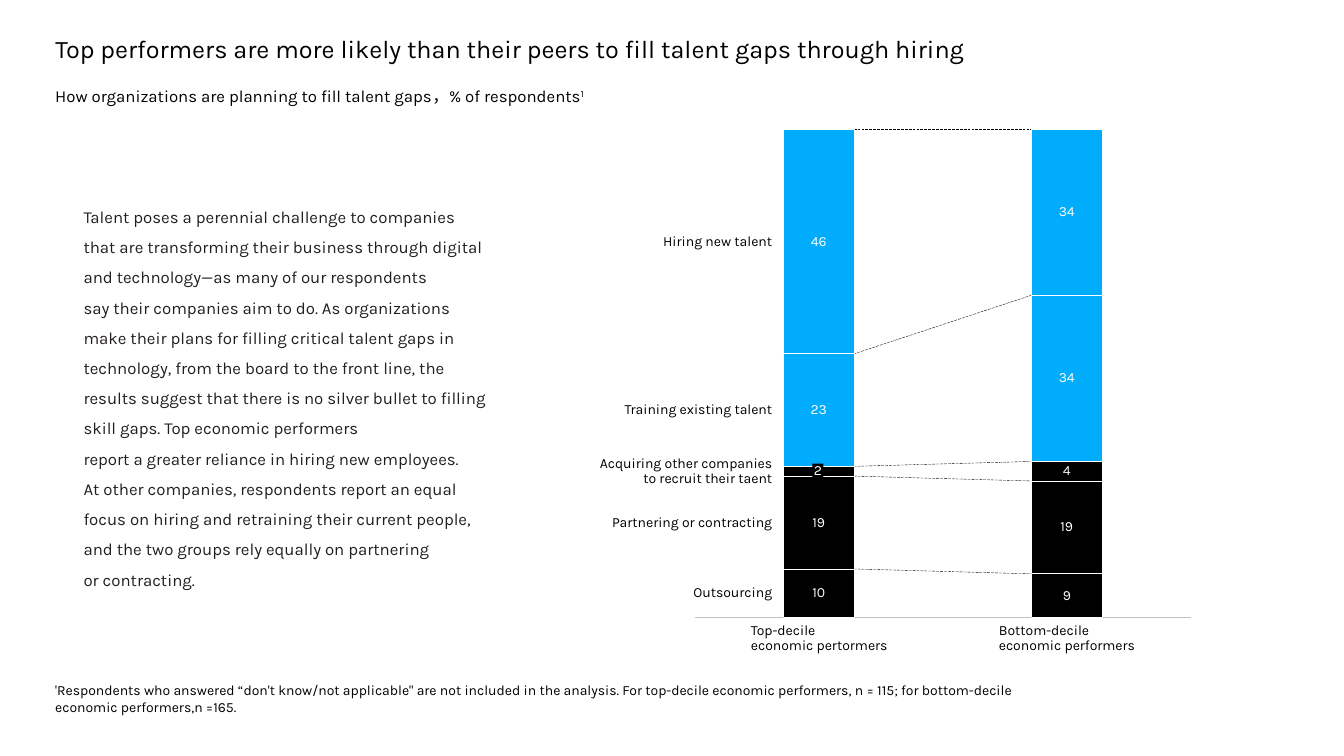
from itertools import accumulate

from lxml import etree
from pptx import Presentation
from pptx.chart.data import CategoryChartData
from pptx.dml.color import RGBColor
from pptx.enum.chart import XL_CHART_TYPE as ChartType, XL_LABEL_POSITION as LabelPosition
from pptx.enum.chart import XL_TICK_LABEL_POSITION as TickLabels, XL_TICK_MARK as TickMark
from pptx.enum.dml import MSO_LINE as Dash
from pptx.enum.shapes import MSO_CONNECTOR as Connector, MSO_SHAPE as Shape
from pptx.enum.text import MSO_ANCHOR as Anchor, MSO_AUTO_SIZE as AutoSize, PP_ALIGN as Align
from pptx.oxml import parse_xml
from pptx.oxml.ns import nsdecls, qn
from pptx.util import Pt

FONT, BLACK, WHITE, BLUE, GREY, INK = "Karla", "000000", "FFFFFF", "00ACFB", "C0C0C0", "231F20"
MARGIN = 32.4
BASELINE, UNIT = 441.3, 3.49
LEFT_BAR_EDGE, RIGHT_BAR_EDGE = 609.8, 736.6
LABEL_RIGHT = 551.5
SEGMENTS = [
    ("Outsourcing", (10, 9), BLACK, 62),
    ("Partnering or contracting", (19, 19), BLACK, 122),
    ("Acquiring other companies\vto recruit their taent", (2, 4), BLACK, 132),
    ("Training existing talent", (23, 34), BLUE, 112),
    ("Hiring new talent", (46, 34), BLUE, 86),
]
UNLABELLED = (2, 0)
BODY = """Talent poses a perennial challenge to companies
that are transforming their business through digital
and technology—as many of our respondents
say their companies aim to do. As organizations
make their plans for filling critical talent gaps in
technology, from the board to the front line, the
results suggest that there is no silver bullet to filling
skill gaps. Top economic performers
report a greater reliance in hiring new employees.
At other companies, respondents report an equal
focus on hiring and retraining their current people,
and the two groups rely equally on partnering
or contracting."""
FOOTNOTE = """'Respondents who answered “don't know/not applicable" are not included in the analysis. \
For top-decile economic performers, n = 115; for bottom-decile
economic performers,n =165."""


def rgb(value):
    return RGBColor.from_string(value)


class SlideBuilder:
    """Holds the text style and the slide, and adds each kind of element."""

    def __init__(self, slide):
        self.slide = slide

    def style_font(self, font, size, color):
        font.name, font.size, font.color.rgb = FONT, Pt(size), rgb(color)

    def fill_text(self, shape, text, size, color=BLACK, align=Align.LEFT, spacing=None, wrap=True):
        frame = shape.text_frame
        frame.text = text
        frame.word_wrap = wrap
        for paragraph in frame.paragraphs:
            paragraph.alignment = align
            if spacing:
                paragraph.line_spacing = spacing
            self.style_font(paragraph.font, size, color)
        return frame

    def title(self, box, text, size):
        shape = self.slide.shapes.title
        shape.left, shape.top, shape.width, shape.height = map(Pt, box)
        frame = self.fill_text(shape, text, size)
        frame.vertical_anchor, frame.auto_size = Anchor.TOP, AutoSize.NONE

    def text(self, box, text, size, **style):
        shape = self.slide.shapes.add_textbox(*map(Pt, box))
        return self.fill_text(shape, text, size, **style)

    def inset(self, frame, side=0, anchor=Anchor.MIDDLE):
        frame.margin_top = frame.margin_bottom = 0
        frame.margin_left = frame.margin_right = Pt(side)
        frame.vertical_anchor = anchor

    def label(self, box, text, align, anchor=Anchor.MIDDLE):
        frame = self.text(box, text, 10, align=align, spacing=0.9)
        self.inset(frame, anchor=anchor)

    def tag(self, box, text):
        shape = self.slide.shapes.add_shape(Shape.RECTANGLE, *map(Pt, box))
        shape.shadow.inherit = False
        shape.fill.solid()
        shape.fill.fore_color.rgb = rgb(BLACK)
        shape.line.fill.background()
        frame = self.fill_text(shape, text, 10, WHITE, Align.CENTER, 0.9, False)
        self.inset(frame, 1.5)

    def dashed_line(self, *ends):
        line = self.slide.shapes.add_connector(Connector.STRAIGHT, *map(Pt, ends))
        line.line.color.rgb = rgb(BLACK)
        line.line.width = Pt(0.25)
        line.line.dash_style = Dash.LONG_DASH
        etree.SubElement(line._element.spPr, qn("a:effectLst"))

    def stacked_chart(self, box):
        data = CategoryChartData()
        data.categories = ["1", "2"]
        for number, (_, values, _, _) in enumerate(SEGMENTS, 1):
            data.add_series(f"Series {number}", values)
        chart = self.slide.shapes.add_chart(ChartType.COLUMN_STACKED, *map(Pt, box), data).chart
        chart.has_legend = chart.has_title = False
        self.style_font(chart.font, 10, BLACK)
        self.format_axes(chart)
        self.place_plot(chart, x=0.018, y=0.046, w=0.965, h=0.908)
        plot = chart.plots[0]
        plot.gap_width, plot.overlap, plot.vary_by_categories = 250, 100, False
        for row, (series, (_, values, color, _)) in enumerate(zip(plot.series, SEGMENTS)):
            series.format.fill.solid()
            series.format.fill.fore_color.rgb = rgb(color)
            series.format.line.color.rgb = rgb(WHITE)
            series.format.line.width = Pt(0.25)
            for column in range(len(values)):
                if (row, column) != UNLABELLED:
                    label = series.points[column].data_label
                    self.style_font(label.font, 10, WHITE)
                    label.position = LabelPosition.CENTER

    def format_axes(self, chart):
        categories, values = chart.category_axis, chart.value_axis
        categories.tick_label_position = TickLabels.NONE
        categories.major_tick_mark = categories.minor_tick_mark = TickMark.NONE
        categories.format.line.color.rgb = rgb(GREY)
        categories.format.line.width = Pt(0.75)
        values.minimum_scale, values.maximum_scale = 0, 100
        values.has_major_gridlines = values.visible = False

    def place_plot(self, chart, **place):
        area = chart._chartSpace.chart.plotArea
        for layout in area.findall(qn("c:layout")):
            area.remove(layout)
        modes = '<c:xMode val="edge"/><c:yMode val="edge"/>'
        sizes = "".join(f'<c:{key} val="{value}"/>' for key, value in place.items())
        area.insert(0, parse_xml(
            f'<c:layout {nsdecls("c")}><c:manualLayout><c:layoutTarget val="inner"/>'
            f"{modes}{sizes}</c:manualLayout></c:layout>"))


def main():
    presentation = Presentation()
    presentation.slide_width, presentation.slide_height = Pt(960), Pt(540)
    builder = SlideBuilder(presentation.slides.add_slide(presentation.slide_layouts[5]))
    builder.title((MARGIN, 20.2, 892.8, 29),
                  "Top performers are more likely than their peers to fill talent gaps through hiring", 18)
    subtitle = builder.text((MARGIN, 57.6, 404, 21.6),
                            "How organizations are planning to fill talent gaps，% of respondents", 12, wrap=False)
    footnote_mark = subtitle.paragraphs[0].add_run()
    footnote_mark.text = "1"
    footnote_mark._r.get_or_add_rPr().set("baseline", "30000")
    builder.text((MARGIN, 483.1, 708.5, 31.7), FOOTNOTE, 10, wrap=False)

    left_tops, right_tops = (
        [BASELINE - UNIT * total for total in accumulate(segment[1][side] for segment in SEGMENTS)]
        for side in (0, 1))
    for left_top, right_top in zip(left_tops, right_tops):
        builder.dashed_line(LEFT_BAR_EDGE, left_top, RIGHT_BAR_EDGE, right_top)
    builder.stacked_chart((489.6, 74.4, 367.2, 384.5))

    for (name, values, _, width), top in zip(SEGMENTS, left_tops):
        height = 10.8 * (1 + name.count("\v"))
        middle = top + UNIT * values[0] / 2
        builder.label((LABEL_RIGHT - width, middle - height / 2, width, height), name, Align.RIGHT)
    builder.tag((580.3, 331.2, 7.9, 10.8), "2")
    for left, name in ((536.4, "Top-decile\veconomic pertormers"), (713.5, "Bottom-decile\veconomic performers")):
        builder.label((left, 445, 106, 21.6), name, Align.LEFT, Anchor.TOP)
    builder.text((52.6, 136.8, 306.7, 288), BODY, 12, color=INK, spacing=1.5)
    presentation.save("out.pptx")


if __name__ == "__main__":
    main()
